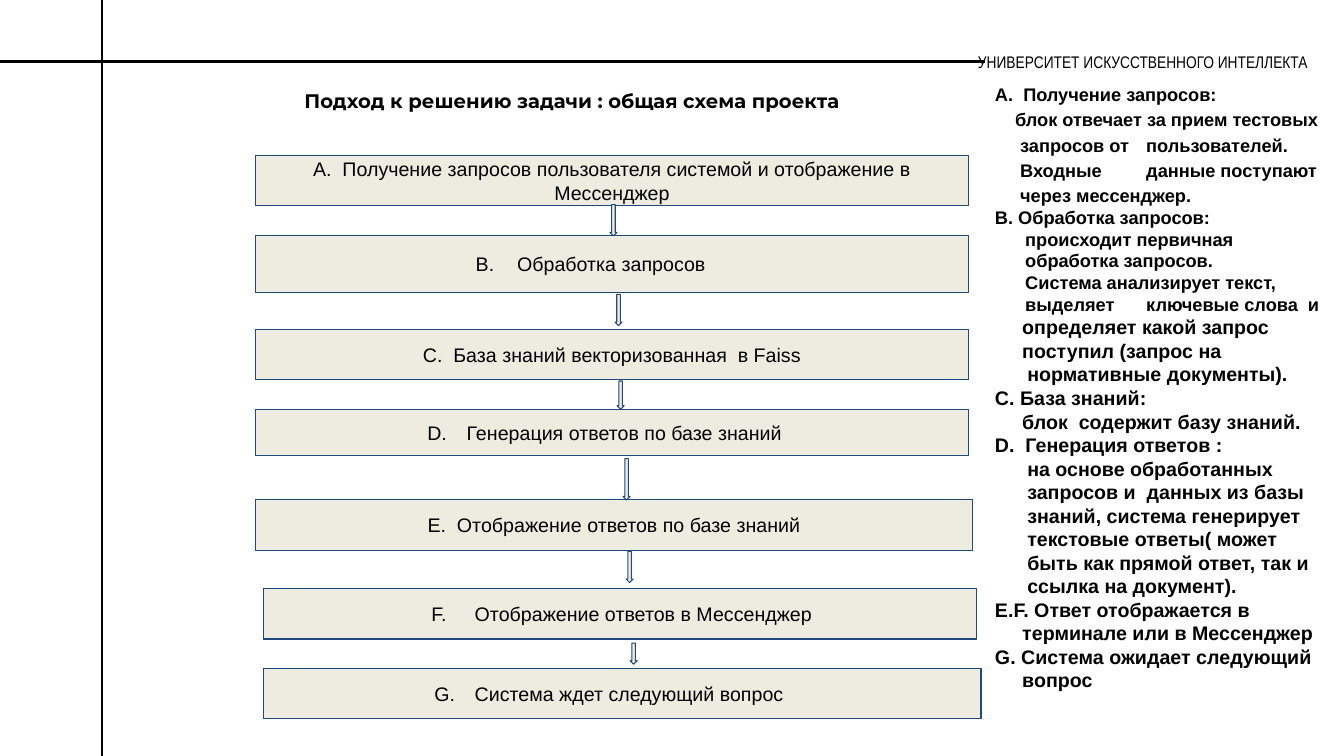
from lxml import etree
from pptx import Presentation
from pptx.dml.color import RGBColor
from pptx.enum.shapes import MSO_CONNECTOR, MSO_SHAPE
from pptx.enum.text import MSO_ANCHOR, PP_ALIGN
from pptx.oxml.ns import qn
from pptx.util import Inches, Pt

BLACK = RGBColor(0x00, 0x00, 0x00)
WHITE = RGBColor(0xFF, 0xFF, 0xFF)
CREAM = RGBColor(0xEE, 0xEC, 0xE1)
NAVY = RGBColor(0x1F, 0x49, 0x7D)
STRAIGHT = MSO_CONNECTOR.STRAIGHT
RECT, DOWN = MSO_SHAPE.RECTANGLE, MSO_SHAPE.DOWN_ARROW
TOP, MIDDLE = MSO_ANCHOR.TOP, MSO_ANCHOR.MIDDLE
LEFT, CENTER, RIGHT = PP_ALIGN.LEFT, PP_ALIGN.CENTER, PP_ALIGN.RIGHT

STEPS = [
    (2.53, 1.54, 7.08, 0.5, "А.  Получение запросов пользователя системой и отображение в Мессенджер", 0, 0),
    (2.53, 2.34, 7.08, 0.56, "B.\tОбработка запросов", 2.09, 2.92),
    (2.53, 3.27, 7.08, 0.5, "C.  База знаний векторизованная  в Faiss", 0, 0),
    (2.53, 4.06, 7.08, 0.46, "D.\tГенерация ответов по базе знаний", 1.61, 2.14),
    (2.53, 4.96, 7.12, 0.5, "E.  Отображение ответов по базе знаний", 0, 0),
    (2.61, 5.84, 7.08, 0.5, "F.\tОтображение ответов в Мессенджер", 1.57, 2.11),
    (2.61, 6.63, 7.12, 0.5, "G.\tСистема ждет следующий вопрос", 1.6, 2.25),
]
ARROWS = [
    (6.05, 2.03, 0.31), (6.1, 2.92, 0.31), (6.12, 3.78, 0.28),
    (6.18, 4.55, 0.41), (6.21, 5.47, 0.31), (6.25, 6.38, 0.21),
]
NOTES = [
    (13, 1, 0, 0, "А.  Получение запросов:"),
    (13, 1.15, 0.2, 0, "блок отвечает за прием тестовых"),
    (13, 1.15, 0.25, 1.59, "запросов от\tпользователей."),
    (13, 1.15, 0.25, 1.21, "Входные\tданные поступают"),
    (13, 1.15, 0.25, 0, "через мессенджер."),
    (13, 1, 0, 0, "B. Обработка запросов:"),
    (13, 1, 0.3, 0, "происходит первичная"),
    (13, 1, 0.3, 0, "обработка запросов."),
    (13, 1, 0.3, 0, "Система анализирует текст,"),
    (13, 1, 0.3, 1.34, "выделяет\tключевые слова  и"),
    (14, 1, 0.27, 0, "определяет какой запрос"),
    (14, 1, 0.27, 0, "поступил (запрос на"),
    (14, 1, 0.32, 0, "нормативные документы)."),
    (14, 1, 0, 0, "С. База знаний:"),
    (14, 1, 0.27, 0, "блок  содержит базу знаний."),
    (14, 1, 0, 0, "D.  Генерация ответов :"),
    (14, 1, 0.32, 0, "на основе обработанных"),
    (14, 1, 0.32, 0, "запросов и  данных из базы"),
    (14, 1, 0.32, 0, "знаний, система генерирует"),
    (14, 1, 0.32, 0, "текстовые ответы( может"),
    (14, 1, 0.32, 0, "быть как прямой ответ, так и"),
    (14, 1, 0.32, 0, "ссылка на документ)."),
    (14, 1, 0, 0, "E.F. Ответ отображается в"),
    (14, 1, 0.27, 0, "терминале или в Мессенджер"),
    (14, 1, 0, 0, "G. Система ожидает следующий"),
    (14, 1, 0.27, 0, "вопрос"),
]


class Deck:
    def __init__(self):
        self.file = Presentation()
        self.file.slide_width = Inches(13.33)
        self.file.slide_height = Inches(7.5)
        self.slide = self.file.slides.add_slide(self.file.slide_layouts[6])
        self.slide.background.fill.solid()
        self.slide.background.fill.fore_color.rgb = WHITE
        self.shapes = self.slide.shapes

    def line(self, *ends):
        rule = self.shapes.add_connector(STRAIGHT, *map(Inches, ends))
        rule.line.color.rgb = BLACK
        rule.line.width = Pt(1.5)
        etree.SubElement(rule._element.spPr, qn("a:effectLst"))

    def shape(self, kind, *place):
        shape = self.shapes.add_shape(kind, *map(Inches, place))
        shape.shadow.inherit = False
        shape.fill.solid()
        shape.fill.fore_color.rgb = CREAM
        shape.line.color.rgb = NAVY
        shape.line.width = Pt(0.75)
        return shape

    def frame(self, shape, anchor=TOP, pad=0.1):
        frame = shape.text_frame
        frame.word_wrap = True
        frame.vertical_anchor = anchor
        frame.margin_left = frame.margin_right = Inches(0.1)
        frame.margin_top = frame.margin_bottom = Inches(pad)
        return frame

    def box(self, *place, **style):
        return self.frame(self.shapes.add_textbox(*map(Inches, place)), **style)

    def label(self, par, text, size, font="Arial", bold=False, align=LEFT,
              space=1, indent=0, tab=0):
        par.text = text
        par.alignment = align
        par.line_spacing = space
        props = par._p.get_or_add_pPr()
        props.set("marL", "0")
        props.set("indent", str(Inches(indent)))
        if tab:
            tabs = etree.SubElement(props, qn("a:tabLst"))
            etree.SubElement(tabs, qn("a:tab"), pos=str(Inches(tab)), algn="l")
        for run in par.runs:
            run.font.name = font
            run.font.size = Pt(size)
            run.font.bold = bold
            run.font.color.rgb = BLACK

    def step(self, left, top, width, height, text, indent, tab):
        frame = self.frame(self.shape(RECT, left, top, width, height), MIDDLE)
        self.label(frame.paragraphs[0], text, 14, align=LEFT if tab else CENTER,
                   indent=indent, tab=tab)

    def notes(self, frame, rows):
        for num, (size, space, indent, tab, text) in enumerate(rows):
            par = frame.add_paragraph() if num else frame.paragraphs[0]
            self.label(par, text, size, bold=True, space=space,
                       indent=indent, tab=tab)


def main():
    deck = Deck()
    head = deck.box(8.89, 0.41, 4.18, 0.46)
    deck.label(head.paragraphs[0], "УНИВЕРСИТЕТ ИСКУССТВЕННОГО ИНТЕЛЛЕКТА",
               12, font="Arial Narrow", align=RIGHT)
    deck.line(9.77, 0.61, 0, 0.61)
    deck.line(1.01, 0, 1.01, 7.5)
    title = deck.box(2.92, 0.73, 6.85, 0.5, anchor=MIDDLE, pad=0.05)
    deck.label(title.paragraphs[0], "Подход к решению задачи : общая схема проекта",
               14, font="Montserrat", bold=True, space=1.15)
    for step in STEPS:
        deck.step(*step)
    for left, top, height in ARROWS:
        deck.shape(DOWN, left, top, 0.07, height)
    deck.notes(deck.box(9.77, 0.73, 3.48, 6.77), NOTES)
    deck.file.save("out.pptx")


if __name__ == "__main__":
    main()
